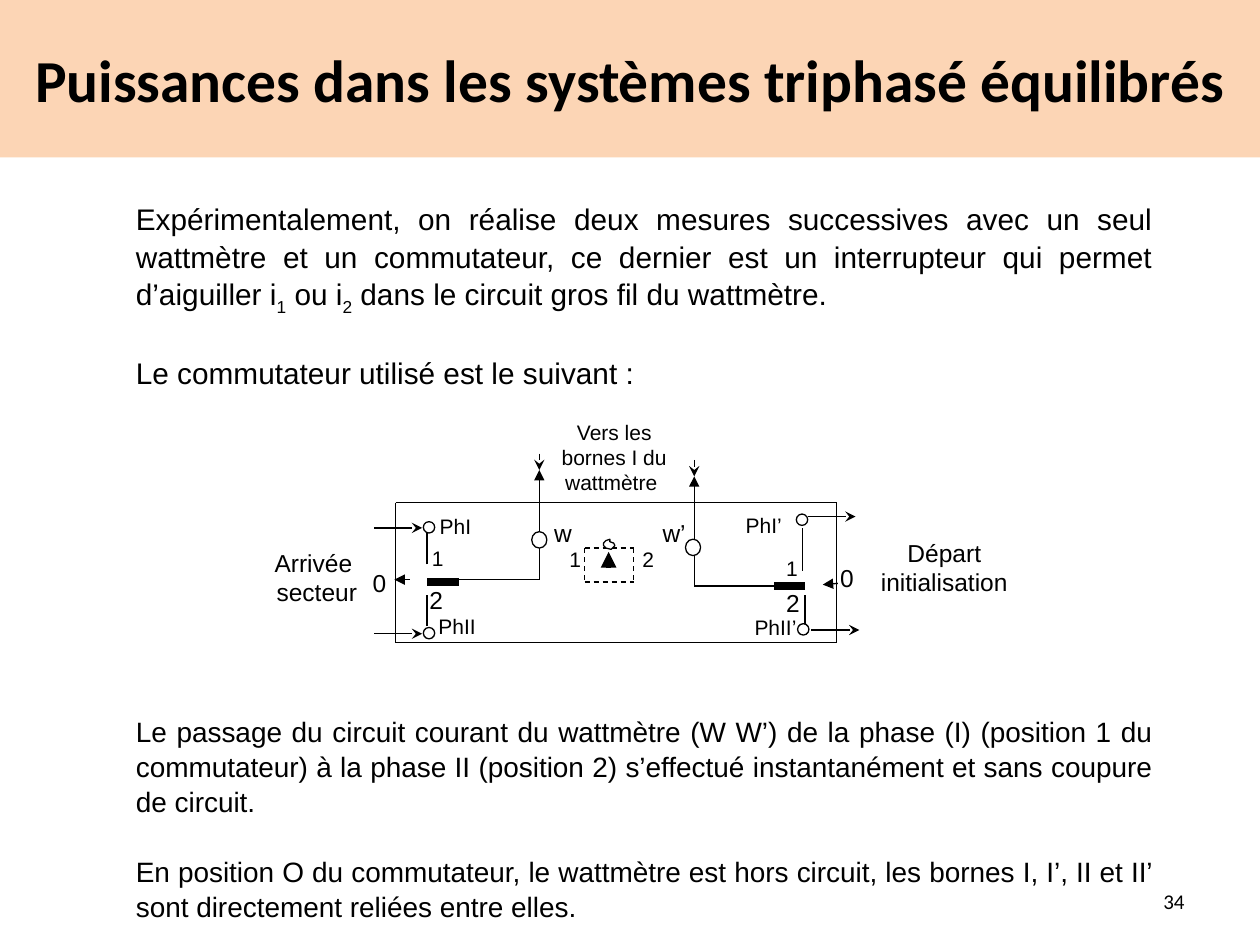
import pptx
import pptx.util
import pptx.dml.color
import pptx.enum.dml
import pptx.enum.shapes
import pptx.enum.text
import pptx.oxml
import pptx.oxml.ns
from dataclasses import dataclass

Inches = pptx.util.Inches
Pt = pptx.util.Pt
Align = pptx.enum.text.PP_ALIGN
Anchor = pptx.enum.text.MSO_ANCHOR
Shape = pptx.enum.shapes.MSO_SHAPE


@dataclass(frozen=True)
class Theme:
    ink: str = "000000"
    paper: str = "FFFFFF"
    band: str = "FCD5B5"
    head: str = "Calibri"
    body: str = "Arial"
    title: float = 34
    lead: float = 17
    note: float = 16
    big: float = 14
    small: float = 12
    thin: float = 0.75


def color(code):
    return pptx.dml.color.RGBColor.from_string(code)


def apply(target, values):
    for name, value in values.items():
        setattr(target, name, value)


class Page:
    def __init__(self, slide, theme):
        self.shapes = slide.shapes
        self.theme = theme

    def font(self, target, size, face=None, bold=False):
        apply(target, {"size": Pt(size), "name": face or self.theme.body, "bold": bold})
        target.color.rgb = color(self.theme.ink)

    def frame(self, frame, pads, anchor=Anchor.TOP):
        sides = ("margin_left", "margin_top", "margin_right", "margin_bottom")
        apply(frame, {side: Inches(pad) for side, pad in zip(sides, pads)})
        apply(frame, {"word_wrap": True, "vertical_anchor": anchor})

    def text(self, words, box, size, align=Align.LEFT, face=None,
             pads=(0.1, 0.05, 0.1, 0.05), anchor=Anchor.TOP):
        frame = self.shapes.add_textbox(*map(Inches, box)).text_frame
        self.frame(frame, pads, anchor)
        frame.text = words
        for para in frame.paragraphs:
            para.alignment = align
            self.font(para.font, size, face)

    def prose(self, paras, box, pads):
        frame = self.shapes.add_textbox(*map(Inches, box)).text_frame
        self.frame(frame, pads)
        for index, (runs, size, gap) in enumerate(paras):
            para = frame.add_paragraph() if index else frame.paragraphs[0]
            apply(para, {"alignment": Align.JUSTIFY, "line_spacing": 1.05,
                         "space_before": Pt(gap)})
            for place, words in enumerate(runs):
                run = para.add_run()
                run.text = words
                self.font(run.font, size)
                if place % 2:
                    run.font._element.set("baseline", "-25000")

    def banner(self, words, box):
        shape = self.shape(Shape.RECTANGLE, box, self.theme.band)
        shape.line.fill.background()
        frame = shape.text_frame
        self.frame(frame, (0.1, 0.05, 0.1, 0.05), Anchor.MIDDLE)
        frame.text = words
        frame.paragraphs[0].alignment = Align.CENTER
        self.font(frame.paragraphs[0].font, self.theme.title, self.theme.head, True)

    def paint(self, shape, fill):
        shape.shadow.inherit = False
        shape.fill.solid()
        shape.fill.fore_color.rgb = color(fill)
        shape.line.color.rgb = color(self.theme.ink)
        shape.line.width = Pt(self.theme.thin)
        return shape

    def shape(self, kind, box, fill):
        return self.paint(self.shapes.add_shape(kind, *map(Inches, box)), fill)

    def outline(self, points):
        start, *rest = [tuple(map(Inches, point)) for point in points]
        form = self.shapes.build_freeform(*start)
        form.add_line_segments(rest, close=True)
        self.paint(form.convert_to_shape(), self.theme.paper)

    def wire(self, ends, width=None, tip=None, dash=False):
        wire = self.shapes.add_connector(
            pptx.enum.shapes.MSO_CONNECTOR.STRAIGHT, *map(Inches, ends))
        wire.line.color.rgb = color(self.theme.ink)
        wire.line.width = Pt(width or self.theme.thin)
        if dash:
            wire.line.dash_style = pptx.enum.dml.MSO_LINE.DASH
        if tip:
            tail = pptx.oxml.ns.qn("a:tailEnd")
            wire.line._get_or_add_ln().append(wire._element.makeelement(tail, {"type": tip}))
        props = wire._element.spPr
        props.append(props.makeelement(pptx.oxml.ns.qn("a:effectLst"), {}))


def draw(page):
    theme = page.theme
    page.banner("Puissances dans les systèmes triphasé équilibrés", (0, 0, 10, 1.25))
    page.prose([
        (["Expérimentalement, on réalise deux mesures successives avec un seul wattmètre "
          "et un commutateur, ce dernier est un interrupteur qui permet d’aiguiller i",
          "1", " ou i", "2", " dans le circuit gros fil du wattmètre."], theme.lead, 0),
        (["Le commutateur utilisé est le suivant :"], theme.lead, 20.5),
        (["Le passage du circuit courant du wattmètre (W W’) de la phase (I) (position 1 "
          "du commutateur) à la phase II (position 2) s’effectué instantanément et sans "
          "coupure de circuit."], theme.note, 184.5),
        (["En position O du commutateur, le wattmètre est hors circuit, les bornes I, I’, "
          "II et II’ sont directement reliées entre elles."], theme.note, 19.3),
    ], (0.98, 1.25, 8.27, 6.29), (0.1, 0.33, 0.1, 0.05))

    left, right, top, base = 3.14, 6.64, 3.99, 5.1
    for y in (top, base):
        page.wire((left, y, right, y))
    for x in (left, right):
        page.wire((x, top, x, base))

    for x, y in ((4.28, 3.73), (5.51, 3.78)):
        page.wire((x, y + 0.5, x, y), tip="triangle")
        page.wire((x, y - 0.13, x, y), tip="stealth")
    for ends in ((4.28, 4.35, 4.28, 4.6), (4.28, 4.6, 3.64, 4.6),
                 (5.51, 4.4, 5.51, 4.65), (6.14, 4.65, 5.51, 4.65),
                 (3.39, 4.48, 3.39, 4.23), (3.39, 4.97, 3.39, 4.72),
                 (6.37, 4.53, 6.37, 4.19), (6.39, 4.97, 6.39, 4.72)):
        page.wire(ends)
    for x, y in ((3.64, 4.62), (6.39, 4.65)):
        page.wire((x, y, x - 0.25, y), 4.5)
    for ends in ((3.25, 4.6, 3.13, 4.6), (6.65, 4.63, 6.53, 4.64)):
        page.wire(ends, tip="triangle")
    for x, y in ((2.97, 4.19), (2.97, 5.03), (6.41, 4.1), (6.44, 5)):
        page.wire((x, y, x + 0.38, y), tip="stealth")

    for x, y in ((4.22, 4.22), (5.44, 4.28)):
        page.shape(Shape.OVAL, (x, y, 0.12, 0.13), theme.paper)
    for x, y in ((3.36, 4.14), (3.36, 4.98), (6.32, 4.08), (6.33, 4.95)):
        page.shape(Shape.OVAL, (x, y, 0.09, 0.09), theme.paper)

    for y in (4.35, 4.62):
        page.wire((4.64, y, 5.03, y), dash=True)
    for x in (4.64, 5.03):
        page.wire((x, 4.35, x, 4.62), dash=True)
    page.wire((4.83, 4.51, 4.83, 4.38), 3, "triangle")
    page.outline([(4.84, 4.28), (4.81, 4.29), (4.79, 4.31), (4.79, 4.33), (4.81, 4.35),
                  (4.85, 4.36), (4.88, 4.33), (4.87, 4.31), (4.84, 4.3)])

    for words, box, size in (
            ("Arrivée \nsecteur", (1.88, 4.3, 1.27, 0.46), theme.big),
            ("Vers les bornes I du wattmètre ", (4.24, 3.28, 1.27, 0.46), theme.small),
            ("Départ initialisation", (6.86, 4.22, 1.27, 0.63), theme.big)):
        page.text(words, box, size, Align.CENTER)
    for words, x, y, near, far in (("PhI’", 5.82, 4.02, 0.1, 0.1),
                                   ("PhI", 3.49, 4.03, 0, 0),
                                   ("PhII’", 5.89, 4.83, 0.1, 0),
                                   ("PhII", 3.48, 4.82, 0, 0)):
        page.text(words, (x, y, 0.5, 0.3), theme.small, pads=(near, 0.05, far, 0.05))
    for words, x, y, size in (
            ("1", 6.14, 4.36, theme.small), ("2", 6.14, 4.62, theme.big),
            ("0", 6.57, 4.42, theme.big), ("1", 3.33, 4.28, theme.small),
            ("2", 3.31, 4.59, theme.big), ("0", 2.86, 4.46, theme.big),
            ("1", 4.42, 4.29, theme.small), ("2", 5, 4.29, theme.small),
            ("w", 4.3, 4.06, theme.big), ("w’", 5.16, 4.06, theme.big)):
        page.text(words, (x, y, 0.45, 0.3), size)
    page.text("34", (7.17, 6.95, 2.33, 0.4), theme.small, Align.RIGHT, theme.head,
              anchor=Anchor.MIDDLE)


def main():
    deck = pptx.Presentation()
    apply(deck, {"slide_width": Inches(10), "slide_height": Inches(7.5)})
    draw(Page(deck.slides.add_slide(deck.slide_layouts[6]), Theme()))
    deck.save("out.pptx")


if __name__ == "__main__":
    main()
